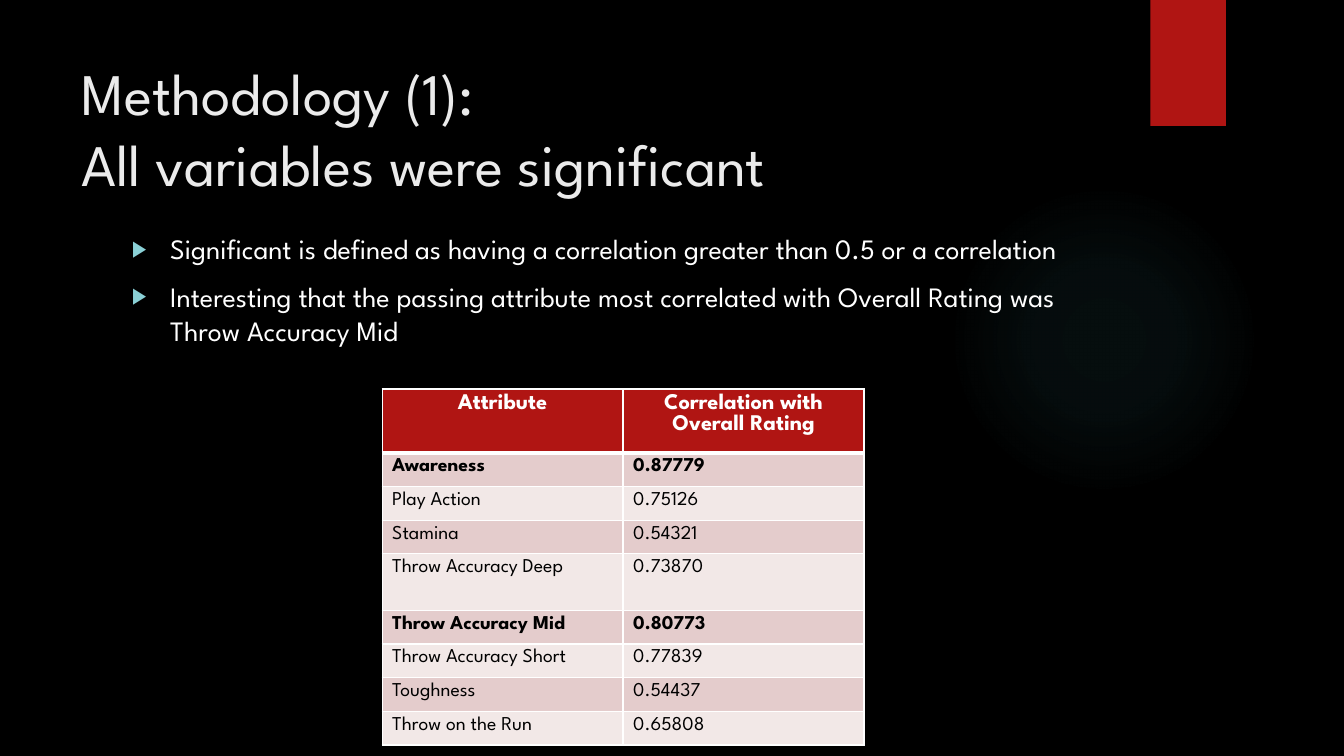
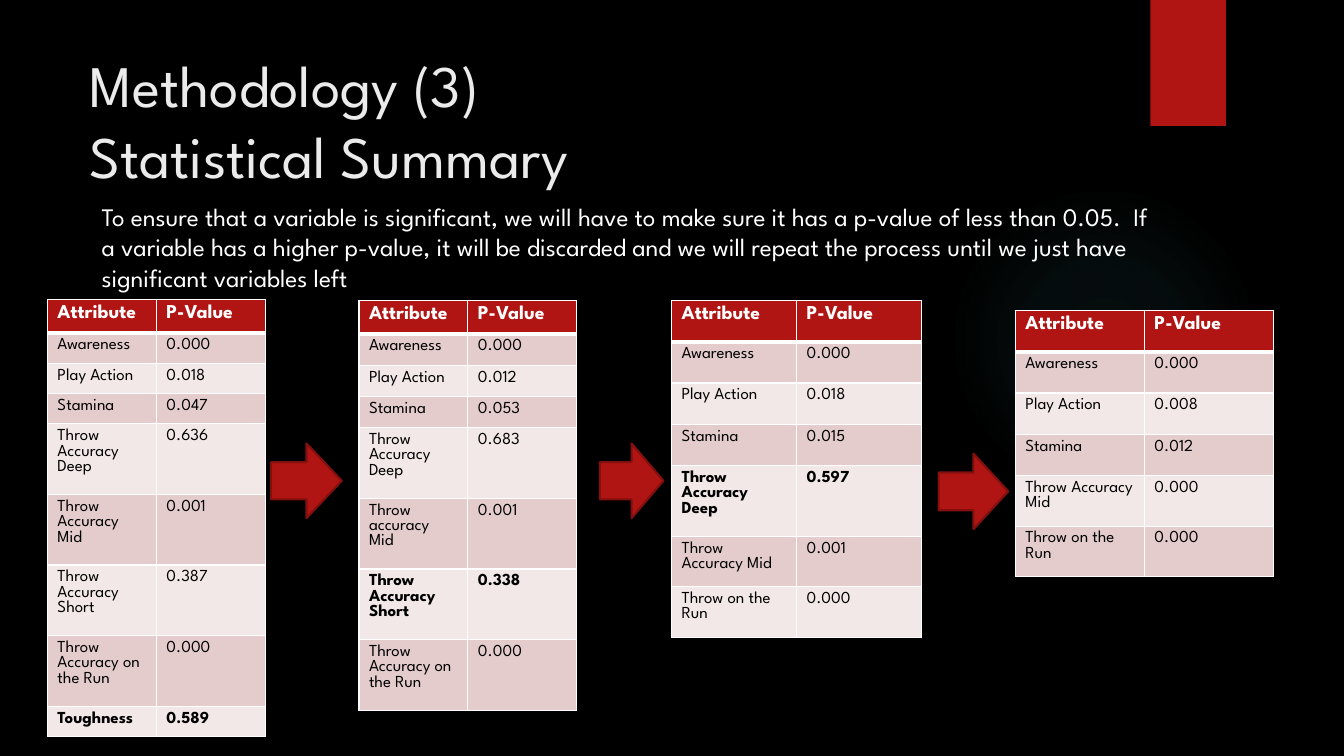
from pptx import Presentation
from pptx.dml.color import RGBColor
from pptx.enum import shapes, text
from pptx.oxml import parse_xml
from pptx.oxml.ns import nsdecls, qn
from pptx.util import Inches, Pt
from lxml import etree

HUES = {"black": "000000", "white": "FFFFFF", "title": "EBEBEB", "red": "B01513",
        "edge": "82100E", "odd": "E4CCCC", "even": "F2E8E7", "mark": "8AD0D6",
        "glow": "50B9C1"}
FONT = "League Spartan"
SHAPE = shapes.MSO_SHAPE


def hue(name):
    return RGBColor.from_string(HUES[name])


class Deck:
    def __init__(self):
        self.prs = Presentation()
        self.prs.slide_width, self.prs.slide_height = Inches(13.33), Inches(7.5)
        self.slide = None

    # Shared backdrop and title
    def page(self, title, x, y):
        self.slide = self.prs.slides.add_slide(self.prs.slide_layouts[6])
        fill = self.slide.background.fill
        fill.solid()
        fill.fore_color.rgb = hue("black")
        self.glow()
        band = self.shape(SHAPE.RECTANGLE, 11.41, 0, 0.75, 1.25)
        self.shade(band)
        self.words([title], x, y, 10.29, 1.53, 42, "title",
                   text.MSO_ANCHOR.MIDDLE)

    def glow(self):
        ball = self.shape(SHAPE.OVAL, 9.41, 1.83, 3.08, 3.08)
        stops = "".join(
            f'<a:gs pos="{pos}000"><a:srgbClr val="{HUES["glow"]}">'
            f'<a:alpha val="{alpha}000"/></a:srgbClr></a:gs>'
            for pos, alpha in ((0, 7), (36, 6), (69, 0)))
        grad = parse_xml(
            f'<a:gradFill {nsdecls("a")}><a:gsLst>{stops}</a:gsLst>'
            '<a:path path="circle"><a:fillToRect l="50000" t="50000" '
            'r="50000" b="50000"/></a:path></a:gradFill>')
        props = ball.element.spPr
        props.replace(props.find(qn("a:solidFill")), grad)

    def shade(self, shape):
        effects = shape.element.spPr.find(qn("a:effectLst"))
        effects.append(parse_xml(
            f'<a:outerShdw {nsdecls("a")} blurRad="{Pt(3)}" dist="{Pt(2)}" '
            f'dir="5400000"><a:srgbClr val="{HUES["black"]}">'
            '<a:alpha val="45000"/></a:srgbClr></a:outerShdw>'))

    # Plain shapes
    def shape(self, kind, x, y, w, h, edge=None):
        item = self.slide.shapes.add_shape(
            kind, Inches(x), Inches(y), Inches(w), Inches(h))
        item.shadow.inherit = False
        item.fill.solid()
        item.fill.fore_color.rgb = hue("red")
        if edge:
            item.line.color.rgb = hue(edge)
            item.line.width = Pt(1.5)
        else:
            item.line.fill.background()
        return item

    def arrow(self, x, y, w, h):
        self.shape(SHAPE.RIGHT_ARROW, x, y, w, h, "edge")

    # Text
    def style(self, para, size, color, bold=None):
        for run in para.runs:
            font = run.font
            font.name, font.size, font.bold = FONT, Pt(size), bold
            font.color.rgb = hue(color)

    def words(self, lines, x, y, w, h, size, color="white",
              anchor=text.MSO_ANCHOR.TOP, bullet=False):
        box = self.slide.shapes.add_textbox(
            Inches(x), Inches(y), Inches(w), Inches(h))
        frame = box.text_frame
        frame.word_wrap = True
        frame.vertical_anchor = anchor
        for i, line in enumerate(lines):
            para = frame.add_paragraph() if i else frame.paragraphs[0]
            para.text = line.replace("\n", "\v")
            self.style(para, size, color)
            if bullet:
                self.bullet(para)

    def bullet(self, para):
        para.space_before = Pt(10)
        props = para._p.get_or_add_pPr()
        props.set("marL", str(Inches(0.38)))
        props.set("indent", str(-Inches(0.38)))
        for xml in (f'<a:buClr {nsdecls("a")}><a:srgbClr val="{HUES["mark"]}"/></a:buClr>',
                    f'<a:buSzPct {nsdecls("a")} val="80000"/>',
                    f'<a:buFont {nsdecls("a")} typeface="Arial"/>',
                    f'<a:buChar {nsdecls("a")} char="\u25b6"/>'):
            props.append(parse_xml(xml))

    # Tables
    def table(self, rows, x, y, wide, highs, size, bold=(), align=None):
        grid = self.slide.shapes.add_table(
            len(rows), 2, Inches(x), Inches(y), Inches(2 * wide),
            Inches(sum(highs))).table
        for col in grid.columns:
            col.width = Inches(wide)
        for i, (row, high) in enumerate(zip(rows, highs)):
            grid.rows[i].height = Inches(high)
            for j, value in enumerate(row):
                cell = grid.cell(i, j)
                cell.text_frame.text = value
                para = cell.text_frame.paragraphs[0]
                cell.fill.solid()
                if i == 0:
                    para.alignment = align
                    self.style(para, size + 2, "white", True)
                    cell.fill.fore_color.rgb = hue("red")
                else:
                    self.style(para, size, "black", row[0] in bold)
                    cell.fill.fore_color.rgb = hue("odd" if i % 2 else "even")
                self.edges(cell, 3 if i == 1 else 1, 3 if i == 0 else 1)

    def edges(self, cell, top, bottom):
        props = cell._tc.get_or_add_tcPr()
        for i, (side, width) in enumerate(
                (("L", 1), ("R", 1), ("T", top), ("B", bottom))):
            line = etree.Element(qn(f"a:ln{side}"), w=str(Pt(width)))
            fill = etree.SubElement(line, qn("a:solidFill"))
            etree.SubElement(fill, qn("a:srgbClr"), val=HUES["white"])
            props.insert(i, line)


deck = Deck()

# Correlations
deck.page("Methodology (1):\nAll variables were significant", 0.71, 0.5)
deck.words(["Significant is defined as having a correlation greater than 0.5 "
            "or a correlation",
            "Interesting that the passing attribute most correlated with "
            "Overall Rating was Throw Accuracy Mid"],
           1.21, 2.25, 9.78, 4.59, 20, bullet=True)
deck.table([("Attribute", "Correlation with Overall Rating"),
            ("Awareness", "0.87779"), ("Play Action", "0.75126"),
            ("Stamina", "0.54321"), ("Throw Accuracy Deep", "0.73870"),
            ("Throw Accuracy Mid", "0.80773"),
            ("Throw Accuracy Short", "0.77839"),
            ("Toughness", "0.54437"), ("Throw on the Run", "0.65808")],
           3.79, 3.86, 2.39, [0.59] + [0.32] * 3 + [0.56] + [0.32] * 4, 14,
           ("Awareness", "Throw Accuracy Mid"), text.PP_ALIGN.CENTER)

# Elimination by p-value
deck.page("Methodology (3)\nStatistical Summary", 0.79, 0.42)
deck.words(["To ensure that a variable is significant, we will have to make "
            "sure it has a p-value of less than 0.05.  If a variable has a "
            "higher p-value, it will be discarded and we will repeat the "
            "process until we just have significant variables left"],
           0.91, 1.95, 10.59, 1.01, 18)
HEAD = ("Attribute", "P-Value")
STEPS = [
    (0.47, 2.97, 1.08, [0.28] + [0.26] * 3 + [0.56] * 4 + [0.26], "Toughness",
     [("Awareness", "0.000"), ("Play Action", "0.018"), ("Stamina", "0.047"),
      ("Throw Accuracy Deep", "0.636"), ("Throw Accuracy Mid", "0.001"),
      ("Throw Accuracy Short", "0.387"),
      ("Throw Accuracy on the Run", "0.000"), ("Toughness", "0.589")]),
    (3.56, 2.98, 1.08, [0.33] + [0.31] * 3 + [0.7] * 4, "Throw Accuracy Short",
     [("Awareness", "0.000"), ("Play Action", "0.012"), ("Stamina", "0.053"),
      ("Throw Accuracy Deep", "0.683"), ("Throw accuracy Mid", "0.001"),
      ("Throw Accuracy Short", "0.338"),
      ("Throw Accuracy on the Run", "0.000")]),
    (6.66, 2.98, 1.24, [0.41] * 4 + [0.7] + [0.5] * 2, "Throw Accuracy Deep",
     [("Awareness", "0.000"), ("Play Action", "0.018"), ("Stamina", "0.015"),
      ("Throw Accuracy Deep", "0.597"), ("Throw Accuracy Mid", "0.001"),
      ("Throw on the Run", "0.000")]),
    (10.07, 3.08, 1.28, [0.41] * 4 + [0.5] * 2, "",
     [("Awareness", "0.000"), ("Play Action", "0.008"), ("Stamina", "0.012"),
      ("Throw Accuracy Mid", "0.000"), ("Throw on the Run", "0.000")])]
for x, y, wide, highs, drop, rows in STEPS:
    deck.table([HEAD] + rows, x, y, wide, highs, 12, (drop,))
for x, y, w, h in ((2.69, 4.4, 0.7, 0.74), (5.95, 4.4, 0.63, 0.74),
                   (9.31, 4.5, 0.69, 0.75)):
    deck.arrow(x, y, w, h)

deck.prs.save("out.pptx")
